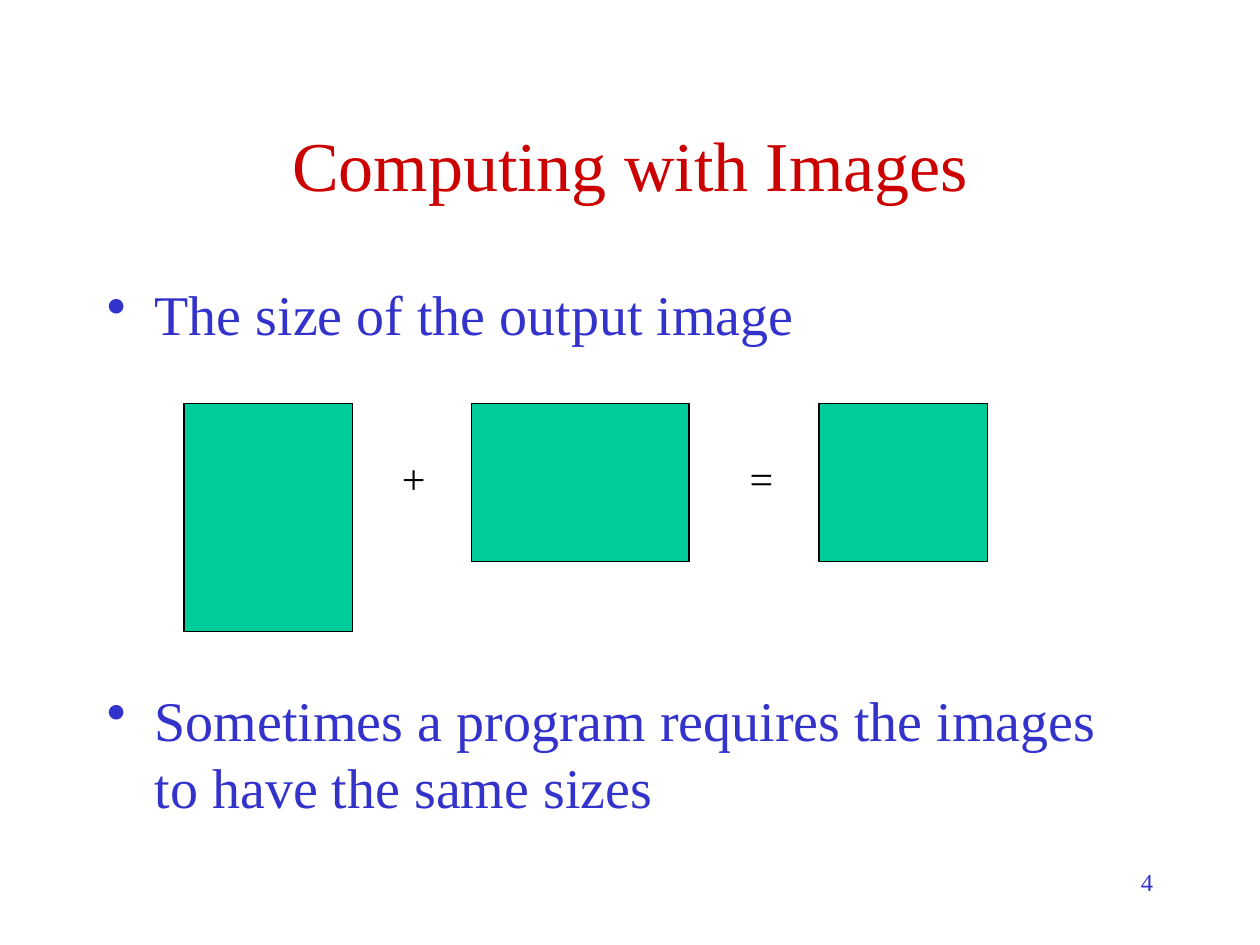
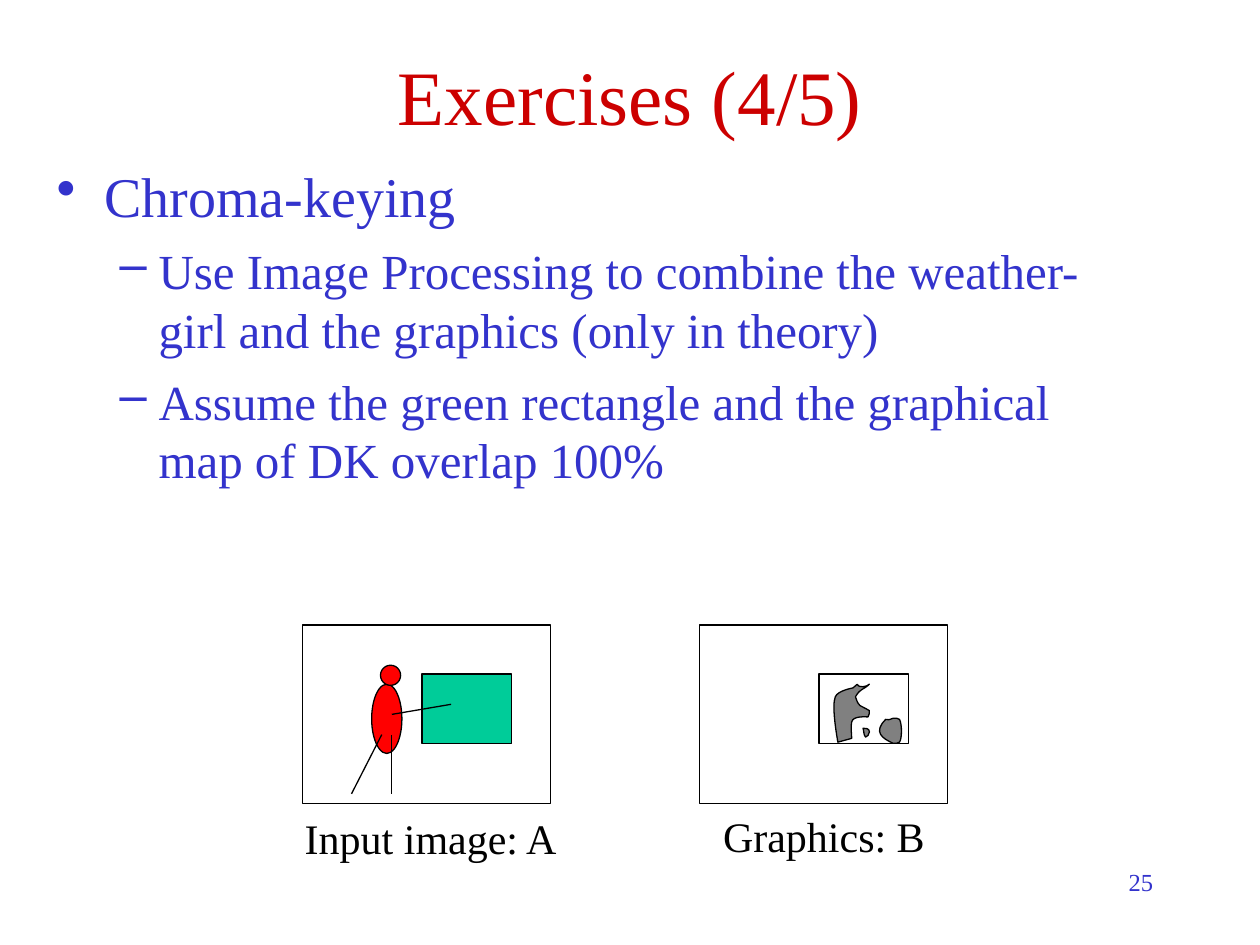
from lxml.etree import SubElement
from pptx import Presentation
from pptx.dml.color import RGBColor
from pptx.enum.shapes import MSO_CONNECTOR, MSO_SHAPE
from pptx.enum.text import MSO_ANCHOR, MSO_AUTO_SIZE, PP_ALIGN
from pptx.oxml.ns import qn
from pptx.util import Pt

PX = 9144
FONT = "Times New Roman"
COLORS = {
    "title": "CC0000",
    "body": "3333CC",
    "ink": "000000",
    "green": "00CC99",
    "red": "FF0000",
    "land": "808080",
}
LEVELS = [
    {"bullet": "•", "size": 32, "indent": 38, "hanging": 38, "pitch": 38.4},
    {"bullet": "–", "size": 28, "indent": 81, "hanging": 31, "pitch": 33.7},
]


def write(para, text, size, color, align=PP_ALIGN.LEFT):
    para.text = text
    para.alignment = align
    for span in para.runs:
        span.font.name = FONT
        span.font.size = Pt(size)
        span.font.color.rgb = RGBColor.from_string(COLORS[color])


def paint(shape, fill=None):
    shape.shadow.inherit = False
    shape.line.color.rgb = RGBColor.from_string(COLORS["ink"])
    shape.line.width = Pt(0.75)
    if fill:
        shape.fill.solid()
        shape.fill.fore_color.rgb = RGBColor.from_string(COLORS[fill])
    else:
        shape.fill.background()


pages = [
    {
        "title": ("Computing with Images", 40, 67),
        "body_box": (75, 217, 850, 450),
        "bullets": [
            (0, 0, "The size of the output image"),
            (0, 193.5, "Sometimes a program requires the images to have the same sizes"),
        ],
        "shapes": [
            (MSO_SHAPE.RECTANGLE, (146, 320, 134, 181), "green"),
            (MSO_SHAPE.RECTANGLE, (374, 320, 173, 126), "green"),
            (MSO_SHAPE.RECTANGLE, (650, 320, 134, 126), "green"),
        ],
        "labels": [("+", (309, 354, 39, 50)), ("=", (585, 354, 39, 50))],
        "number": "4",
    },
    {
        "title": ("Exercises (4/5)", 44, 13),
        "body_box": (35, 123, 882, 291),
        "bullets": [
            (0, 0, "Chroma-keying"),
            (1, 7, "Use Image Processing to combine the weather-girl and the graphics (only in theory)"),
            (1, 7, "Assume the green rectangle and the graphical map of DK overlap 100%"),
        ],
        "shapes": [
            (MSO_SHAPE.RECTANGLE, (335, 535, 71, 55), "green"),
            (MSO_SHAPE.OVAL, (295, 543, 24, 55), "red"),
            (MSO_SHAPE.OVAL, (302, 528, 16, 16), "red"),
            (MSO_SHAPE.RECTANGLE, (240, 496, 197, 142), None),
            (MSO_SHAPE.RECTANGLE, (555, 496, 197, 142), None),
            (MSO_SHAPE.RECTANGLE, (650, 535, 71, 55), None),
        ],
        "labels": [
            ("Input image: A", (232, 640, 222, 50)),
            ("Graphics: B", (564, 638, 180, 50)),
        ],
        "number": "25",
    },
]

deck = Presentation()
deck.slide_width = 1000 * PX
deck.slide_height = 750 * PX

for content in pages:
    page = deck.slides.add_slide(deck.slide_layouts[5])

    heading, heading_size, heading_top = content["title"]
    title = page.shapes.title
    title.left, title.top, title.width, title.height = (
        n * PX for n in (75, heading_top, 850, 125)
    )
    title.text_frame.vertical_anchor = MSO_ANCHOR.MIDDLE
    write(title.text_frame.paragraphs[0], heading, heading_size, "title", PP_ALIGN.CENTER)

    body = page.shapes.add_textbox(*(n * PX for n in content["body_box"]))
    body.text_frame.word_wrap = True
    for index, (depth, gap, text) in enumerate(content["bullets"]):
        frame = body.text_frame
        para = frame.add_paragraph() if index else frame.paragraphs[0]
        level = LEVELS[depth]
        write(para, text, level["size"], "body")
        para.level = depth
        para.space_before = Pt(gap)
        para.line_spacing = Pt(level["pitch"])
        properties = para._p.get_or_add_pPr()
        properties.set("marL", str(level["indent"] * PX))
        properties.set("indent", str(-level["hanging"] * PX))
        bullet_color = SubElement(properties, qn("a:buClr"))
        SubElement(bullet_color, qn("a:srgbClr")).set("val", COLORS["body"])
        SubElement(properties, qn("a:buChar")).set("char", level["bullet"])

    for kind, box, fill in content["shapes"]:
        paint(page.shapes.add_shape(kind, *(n * PX for n in box)), fill)

    for text, box in content["labels"]:
        label = page.shapes.add_textbox(*(n * PX for n in box))
        label.text_frame.word_wrap = False
        label.text_frame.auto_size = MSO_AUTO_SIZE.SHAPE_TO_FIT_TEXT
        write(label.text_frame.paragraphs[0], text, 24, "ink")

    number = page.shapes.add_textbox(717 * PX, 683 * PX, 208 * PX, 50 * PX)
    number.text_frame.word_wrap = True
    write(number.text_frame.paragraphs[0], content["number"], 14, "body", PP_ALIGN.RIGHT)

limbs = [(303, 583, 279, 630), (311, 583, 311, 630), (311, 567, 358, 559)]
for limb in limbs:
    connector = page.shapes.add_connector(MSO_CONNECTOR.STRAIGHT, *(n * PX for n in limb))
    connector.line.color.rgb = RGBColor.from_string(COLORS["ink"])
    connector.line.width = Pt(0.75)
    SubElement(connector._element.spPr, qn("a:effectLst"))

jutland = [
    (665, 589),
    (664, 583), (660, 560), (663, 553),
    (665, 548), (677, 546), (677, 546),
    (684, 540), (677, 545), (685, 545),
    (687, 545), (689, 544), (690, 543),
    (685, 548), (683, 546), (679, 553),
    (682, 562), (682, 559), (690, 564),
    (690, 565), (690, 568), (689, 569),
    (687, 569), (677, 568), (676, 573),
    (675, 577), (676, 582), (676, 586),
]
zealand = [
    (703, 571),
    (693, 581), (700, 586), (709, 590),
    (711, 590), (713, 590), (714, 589),
    (716, 586), (716, 575), (714, 571),
    (713, 570), (711, 570), (709, 570),
    (704, 572), (706, 571), (703, 571),
]
funen = [
    (685, 578),
    (686, 580), (685, 583), (687, 585),
    (688, 585), (690, 583), (690, 581),
    (690, 578), (687, 578), (685, 578),
]
for coast in (jutland, zealand, funen):
    builder = page.shapes.build_freeform(*coast[0], scale=PX)
    builder.add_line_segments(coast[1:], close=True)
    island = builder.convert_to_shape()
    paint(island, "land")
    lines = list(island._element.iter(qn("a:lnTo")))
    for first in range(0, len(coast) - 1, 3):
        curve = lines[first]
        curve.tag = qn("a:cubicBezTo")
        for line in lines[first + 1:first + 3]:
            curve.append(line[0])
            line.getparent().remove(line)

deck.save("out.pptx")
